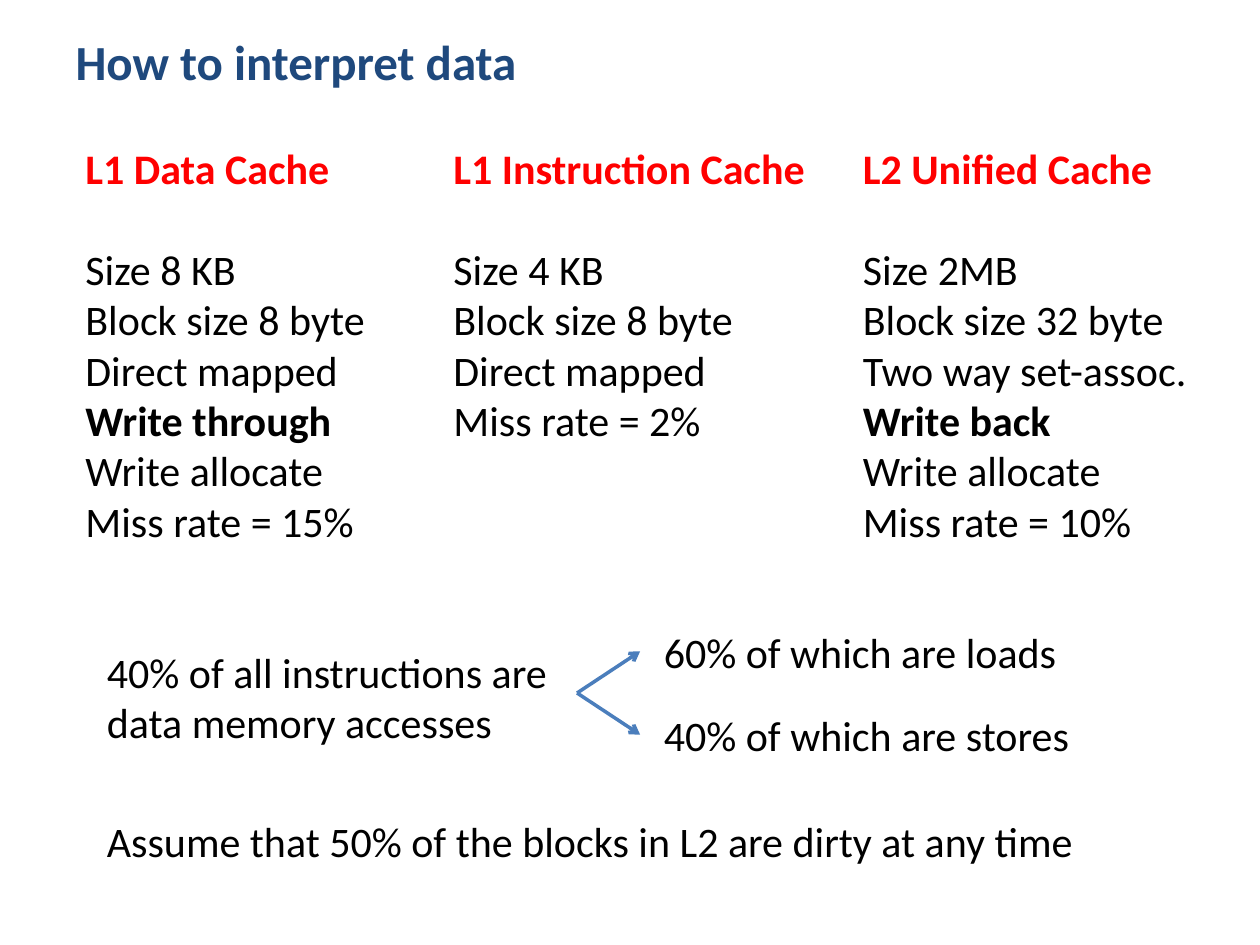
"""Builds the slide on interpreting cache data."""
from lxml import etree
from pptx import Presentation
from pptx import util as u
from pptx.dml.color import RGBColor
from pptx.enum import shapes, text
from pptx.oxml.ns import qn

NAVY = RGBColor(0x1F, 0x49, 0x7D)
RED = RGBColor(0xFF, 0x00, 0x00)
BLACK = RGBColor(0x00, 0x00, 0x00)
BLUE = RGBColor(0x4B, 0x7E, 0xBC)

BODY = {"name": "Calibri", "size": u.Pt(24), "bold": False}
HEADING = {"bold": True}
TITLE = {"name": "Calibri", "size": u.Pt(28), "bold": True}


def style(r, color, fmt):
    for key, value in fmt.items():
        setattr(r.font, key, value)
    r.font.color.rgb = color


def add_text(s, x, y, w, h, lines, has_heading=False):
    tf = s.shapes.add_textbox(*map(u.Inches, (x, y, w, h))).text_frame
    tf.word_wrap = False
    tf.auto_size = text.MSO_AUTO_SIZE.SHAPE_TO_FIT_TEXT
    for i, line in enumerate(lines):
        p = tf.paragraphs[0] if i == 0 else tf.add_paragraph()
        r = p.add_run()
        r.text = line
        heading = has_heading and i == 0
        bold = heading or line in ("Write through", "Write back")
        style(r, RED if heading else BLACK, BODY | HEADING if bold else BODY)
        if heading:
            p.space_after = u.Pt(29)


prs = Presentation()
prs.slide_width, prs.slide_height = u.Inches(10), u.Inches(7.5)
s = prs.slides.add_slide(prs.slide_layouts[5])

title = s.shapes.title
title.left, title.top, title.width, title.height = map(u.Inches, (0.5, 0.17, 9, 0.62))
tf = title.text_frame
tf.vertical_anchor = text.MSO_ANCHOR.MIDDLE
p = tf.paragraphs[0]
p.alignment = text.PP_ALIGN.LEFT
r = p.add_run()
r.text = "How to interpret data"
style(r, NAVY, TITLE)

caches = [
    (0.58, 2.44, 3.74, ["L1 Data Cache", "Size 8 KB", "Block size 8 byte", "Direct mapped",
                        "Write through", "Write allocate", "Miss rate = 15%"]),
    (3.5, 3.02, 2.52, ["L1 Instruction Cache", "Size 4 KB", "Block size 8 byte",
                       "Direct mapped", "Miss rate = 2%"]),
    (6.75, 2.8, 3.33, ["L2 Unified Cache", "Size 2MB", "Block size 32 byte",
                       "Two way set-assoc.", "Write back", "Write allocate",
                       "Miss rate = 10%"]),
]
for x, w, h, lines in caches:
    add_text(s, x, 1.08, w, h, lines, has_heading=True)

add_text(s, 0.75, 5.08, 3.8, 0.91, ["40% of all instructions are", "data memory accesses"])

fork = s.shapes.add_group_shape()
for end_y in (5.17, 5.83):
    sp = fork.shapes.add_connector(shapes.MSO_CONNECTOR.STRAIGHT,
                                   *map(u.Inches, (4.58, 5.5, 5.08, end_y)))
    sp.line.color.rgb = BLUE
    sp.line.width = u.Pt(2)
    etree.SubElement(sp.line._get_or_add_ln(), qn("a:tailEnd"), type="arrow")
    etree.SubElement(sp._element.spPr, qn("a:effectLst"))

add_text(s, 5.17, 4.92, 3.34, 0.5, ["60% of which are loads"])
add_text(s, 5.17, 5.58, 3.45, 0.5, ["40% of which are stores"])
add_text(s, 0.75, 6.42, 7.94, 0.5,
         ["Assume that 50% of the blocks in L2 are dirty at any time"])

prs.save("out.pptx")
